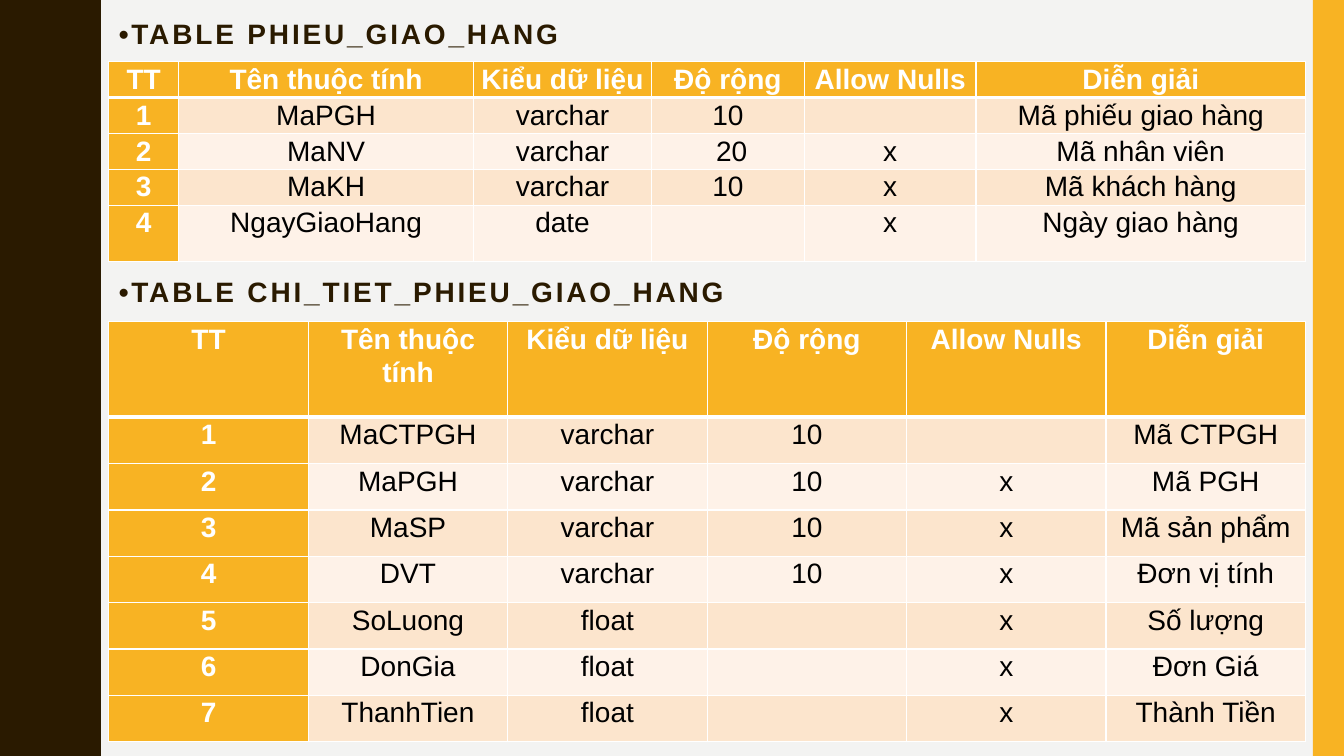
from pptx import Presentation
from pptx.dml.color import RGBColor
from pptx.enum.shapes import MSO_SHAPE
from pptx.enum.text import PP_ALIGN
from pptx.oxml import parse_xml
from pptx.oxml.ns import nsdecls
from pptx.util import Inches, Pt

BACKGROUND = RGBColor(0xF3, 0xF3, 0xF2)
BROWN = RGBColor(0x2A, 0x1A, 0x00)
AMBER = RGBColor(0xF8, 0xB3, 0x23)
PEACH = RGBColor(0xFC, 0xE5, 0xCD)
CREAM = RGBColor(0xFE, 0xF2, 0xE8)
WHITE = RGBColor(0xFF, 0xFF, 0xFF)
BLACK = RGBColor(0x00, 0x00, 0x00)

HEADER = ["TT", "Tên thuộc tính", "Kiểu dữ liệu", "Độ rộng", "Allow Nulls", "Diễn giải"]
SECTIONS = [
    {
        "title": "•TABLE PHIEU_GIAO_HANG", "title_top": 0.15, "table_top": 0.61,
        "cols": [0.69, 2.93, 1.76, 1.52, 1.7, 3.27],
        "heights": [0.33] * 4 + [0.56],
        "rows": [
            ["1", "MaPGH", "varchar", "10", "", "Mã phiếu giao hàng"],
            ["2", "MaNV", "varchar", " 20", "x", "Mã nhân viên"],
            ["3", "MaKH", "varchar", "10", "x", "Mã khách hàng"],
            ["4", "NgayGiaoHang", "date", "", "x", "Ngày giao hàng"],
        ],
    },
    {
        "title": "•TABLE CHI_TIET_PHIEU_GIAO_HANG", "title_top": 2.71, "table_top": 3.19,
        "cols": [11.87 / 6] * 6,
        "heights": [0.95] + [0.46] * 7,
        "rows": [
            ["1", "MaCTPGH", "varchar", "10", "", "Mã CTPGH"],
            ["2", "MaPGH", "varchar", "10", "x", "Mã PGH"],
            ["3", "MaSP", "varchar", "10", "x", "Mã sản phẩm"],
            ["4", "DVT", "varchar", "10", "x", "Đơn vị tính"],
            ["5", "SoLuong", "float", "", "x", "Số lượng"],
            ["6", "DonGia", "float", "", "x", "Đơn Giá"],
            ["7", "ThanhTien", "float", "", "x", "Thành Tiền"],
        ],
    },
]


def write(tf, text, color=BLACK, bold=False, align=PP_ALIGN.LEFT, line=1.0, spacing=0):
    tf.word_wrap = True
    p = tf.paragraphs[0]
    p.alignment = align
    p.line_spacing = line
    if not text:
        p.font.size = Pt(20)
        return
    r = p.add_run()
    r.text = text
    r.font.name = "Arial"
    r.font.size = Pt(20)
    r.font.bold = bold
    r.font.color.rgb = color
    if spacing:
        r._r.get_or_add_rPr().set("spc", str(spacing * 100))


def set_border(cell, side, width):
    cell._tc.get_or_add_tcPr().append(parse_xml(
        f'<a:ln{side} {nsdecls("a")} w="{Pt(width)}"><a:solidFill>'
        f'<a:srgbClr val="{WHITE}"/></a:solidFill></a:ln{side}>'))


prs = Presentation()
prs.slide_width = Inches(13.33)
prs.slide_height = Inches(7.5)
s = prs.slides.add_slide(prs.slide_layouts[6])
s.background.fill.solid()
s.background.fill.fore_color.rgb = BACKGROUND

rise = [(0.78, 0), (0.78, 0.07), (0.79, 0.14), (0.8, 0.2), (0.81, 0.25),
        (0.83, 0.29), (0.85, 0.33), (0.87, 0.38), (0.89, 0.42), (0.91, 0.46),
        (0.93, 0.5), (0.95, 0.55), (0.96, 0.61), (0.97, 0.68), (0.97, 0.75)]
period = 1.5
wave = rise + [(x, period - y) for x, y in rise[-2::-1]]
edge = [(x, y + period * n) for n in range(5) for x, y in wave]
fb = s.shapes.build_freeform(0, 0, scale=Inches(1))
fb.add_line_segments(edge + [(0, 7.5)], close=True)
band = fb.convert_to_shape()
bar = s.shapes.add_shape(MSO_SHAPE.RECTANGLE, Inches(13.02), 0, Inches(0.31), Inches(7.5))
for sp, color in ((band, BROWN), (bar, AMBER)):
    sp.shadow.inherit = False
    sp.fill.solid()
    sp.fill.fore_color.rgb = color
    sp.line.fill.background()

for section in SECTIONS:
    box = s.shapes.add_textbox(Inches(1.08), Inches(section["title_top"]),
                               Inches(11.87), Inches(0.46))
    write(box.text_frame, section["title"], color=BROWN, bold=True, line=0.9, spacing=2)

    rows = [HEADER] + section["rows"]
    table = s.shapes.add_table(len(rows), len(HEADER), Inches(1.08),
                               Inches(section["table_top"]), Inches(11.87),
                               Inches(sum(section["heights"]))).table
    table.first_row = False
    table.horz_banding = False
    for col, width in zip(table.columns, section["cols"]):
        col.width = Inches(width)
    for i, values in enumerate(rows):
        table.rows[i].height = Inches(section["heights"][i])
        for j, value in enumerate(values):
            cell = table.cell(i, j)
            cell.margin_left = cell.margin_right = Inches(0.07)
            cell.margin_top = cell.margin_bottom = 0
            heading = i == 0 or j == 0
            write(cell.text_frame, value, color=WHITE if heading else BLACK,
                  bold=heading, align=PP_ALIGN.CENTER, line=1.07)
            set_border(cell, "L", 1)
            set_border(cell, "R", 1)
            set_border(cell, "T", 3 if i == 1 else 1)
            set_border(cell, "B", 3 if i == 0 else 1)
            cell.fill.solid()
            cell.fill.fore_color.rgb = AMBER if heading else PEACH if i % 2 else CREAM

prs.save("out.pptx")
